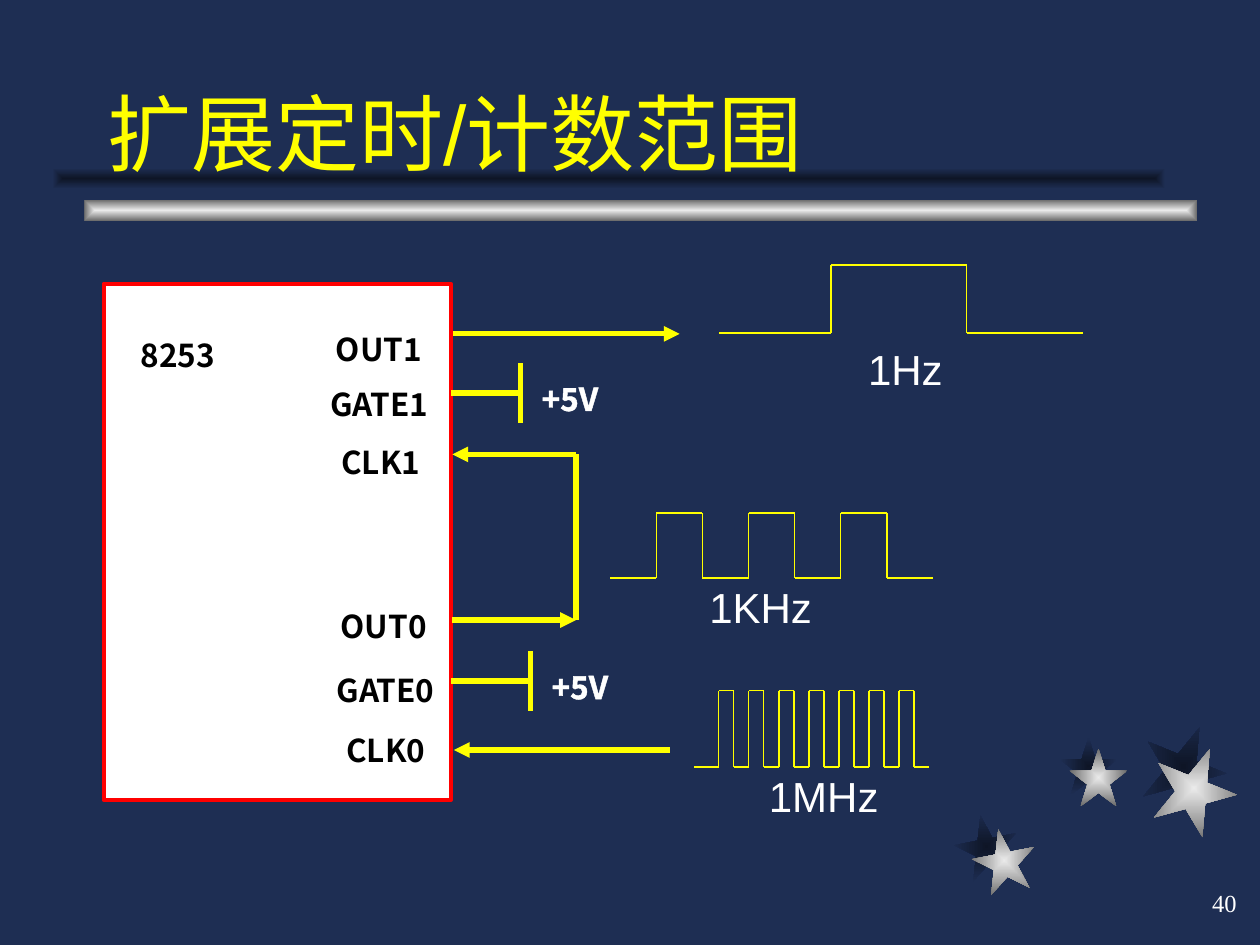
from lxml.etree import SubElement
from pptx import Presentation
from pptx.dml.color import RGBColor
from pptx.enum.shapes import MSO_CONNECTOR, MSO_SHAPE
from pptx.enum.text import MSO_ANCHOR, PP_ALIGN
from pptx.oxml.ns import qn
from pptx.util import Cm, Pt

COLOURS = {
    "background": "1E2E53",
    "shade": "0E1526",
    "silver": "EAEAEA",
    "grey": "6C6C6C",
    "yellow": "FFFF00",
    "red": "FF0000",
    "white": "FFFFFF",
    "black": "000000",
}
SHADOW = ("shade", "background")
METAL = ("silver", "grey")
CJK_FONT = "Noto Sans CJK SC"
CHIP_RIGHT = 9.09

# Star sets: size, rotation, shadow corner, front corner
STARS = [
    (1.27, 349, (19.25, 16.43), (19.61, 16.71)),
    (1.17, 0, (21.36, 14.86), (21.56, 15.09)),
    (1.70, 22, (23.01, 14.61), (23.22, 15.04)),
]
# Chip labels: text, left, top
CHIP_LABELS = [
    ("8253", 2.59, 6.64),
    ("OUT1", 6.52, 6.52),
    ("GATE1", 6.41, 7.63),
    ("CLK1", 6.63, 8.81),
    ("OUT0", 6.62, 12.10),
    ("GATE0", 6.54, 13.39),
    ("CLK0", 6.73, 14.61),
]
# Frequency labels: text, left, top, width
FREQUENCIES = [
    ("1MHz", 15.50, 15.53, 2.69),
    ("1KHz", 14.30, 11.73, 2.21),
    ("1Hz", 17.50, 6.93, 1.85),
]


def colour(name):
    return RGBColor.from_string(COLOURS[name])


def add_plain_shape(slide, kind, left, top, width, height):
    shape = slide.shapes.add_shape(kind, Cm(left), Cm(top), Cm(width), Cm(height))
    shape.shadow.inherit = False
    return shape


def add_gradient_shape(slide, kind, left, top, width, height, colours, rotation=0):
    """Shape whose colour runs from its centre to its edges."""
    shape = add_plain_shape(slide, kind, left, top, width, height)
    shape.rotation = rotation
    shape.line.fill.background()
    shape.fill.gradient()
    for stop, name in zip(shape.fill.gradient_stops, colours):
        stop.color.rgb = colour(name)
    gradient = shape._element.spPr.find(qn("a:gradFill"))
    gradient.remove(gradient.find(qn("a:lin")))
    centre = SubElement(gradient, qn("a:path"), {"path": "rect"})
    SubElement(centre, qn("a:fillToRect"), dict.fromkeys("ltrb", "50000"))


def add_text(slide, text, left, top, width, height, size, font, name,
             margins=(0.25, 0.13), anchor=MSO_ANCHOR.TOP,
             align=PP_ALIGN.LEFT, outlined=False):
    box = slide.shapes.add_textbox(Cm(left), Cm(top), Cm(width), Cm(height))
    frame = box.text_frame
    frame.word_wrap = True
    frame.vertical_anchor = anchor
    frame.margin_left = frame.margin_right = Cm(margins[0])
    frame.margin_top = frame.margin_bottom = Cm(margins[1])
    para = frame.paragraphs[0]
    para.alignment = align
    span = para.add_run()
    span.text = text
    span.font.size = Pt(size)
    span.font.name = font
    span.font.color.rgb = colour(name)
    properties = span.font._element
    latin = properties.find(qn("a:latin"))
    east_asian = SubElement(properties, qn("a:ea"), {"typeface": CJK_FONT})
    latin.addnext(east_asian)
    if outlined:
        span.font.bold = True
        outline = SubElement(properties, qn("a:ln"), {"w": str(Pt(0.75))})
        fill = SubElement(outline, qn("a:solidFill"))
        SubElement(fill, qn("a:srgbClr"), {"val": COLOURS[name]})
        properties.insert(0, outline)


def add_line(shapes, start, end, width=3, arrow=None):
    """Yellow line; arrow is headEnd (at start) or tailEnd (at end)."""
    line = shapes.add_connector(
        MSO_CONNECTOR.STRAIGHT, *(Cm(value) for value in (*start, *end)))
    line.line.color.rgb = colour("yellow")
    line.line.width = Pt(width)
    if arrow:
        SubElement(line.line._get_or_add_ln(), qn(f"a:{arrow}"), {"type": "triangle"})
    SubElement(line._element.spPr, qn("a:effectLst"))


def add_waveform(slide, edges, low, high):
    """Square wave that starts low and changes level at each inner edge."""
    shapes = slide.shapes.add_group_shape().shapes
    points = []
    for index, (left, right) in enumerate(zip(edges, edges[1:])):
        level = high if index % 2 else low
        points += [(left, level), (right, level)]
    for start, end in zip(points, points[1:]):
        add_line(shapes, start, end, 0.75)


def add_gate(slide, bar_x, y):
    """Gate pin tied to the supply."""
    add_line(slide.shapes, (CHIP_RIGHT, y), (bar_x, y))
    add_line(slide.shapes, (bar_x, y - 0.6), (bar_x, y + 0.6))
    add_text(slide, "+5V", bar_x + 0.17, y - 0.4, 2, 0.76, 18, CJK_FONT,
             "white", outlined=True)


def main():
    deck = Presentation()
    deck.slide_width, deck.slide_height = Cm(25.4), Cm(19.05)
    page = deck.slides.add_slide(deck.slide_layouts[6])
    page.background.fill.solid()
    page.background.fill.fore_color.rgb = colour("background")

    # Decorative stars and title bars
    for layer, colours in ((2, SHADOW), (3, METAL)):
        for star in STARS:
            size, rotation = star[:2]
            add_gradient_shape(page, MSO_SHAPE.STAR_5_POINT, *star[layer],
                               size, size, colours, rotation)
    for left, top, colours in ((1.70, 4.03, METAL), (1.06, 3.39, SHADOW)):
        add_gradient_shape(page, MSO_SHAPE.RECTANGLE, left, top, 22.43, 0.42, colours)

    # Page number and title
    add_text(page, "40", 19.90, 17.57, 5.28, 1.27, 14, "Times New Roman", "white",
             anchor=MSO_ANCHOR.MIDDLE, align=PP_ALIGN.RIGHT)
    add_text(page, "扩展定时/计数范围", 1.91, 0.64, 21.59, 3.17, 48, "Arial", "yellow",
             anchor=MSO_ANCHOR.BOTTOM)

    # Chip, with the OUT1 wire running out from behind it
    add_line(page.shapes, (8.89, 6.73), (13.7, 6.73), arrow="tailEnd")
    chip = add_plain_shape(page, MSO_SHAPE.RECTANGLE, 2.09, 5.72, 7, 10.41)
    chip.fill.solid()
    chip.fill.fore_color.rgb = colour("white")
    chip.line.color.rgb = colour("red")
    chip.line.width = Pt(2.25)
    for text, left, top in CHIP_LABELS:
        add_text(page, text, left, top, 2.7, 0.71, 18, CJK_FONT, "black",
                 outlined=True)

    # Wires
    add_gate(page, 10.5, 7.92)
    add_gate(page, 10.7, 13.73)
    add_line(page.shapes, (9.12, 9.16), (11.61, 9.16), arrow="headEnd")
    add_line(page.shapes, (9.12, 12.5), (11.61, 12.5), arrow="tailEnd")
    add_line(page.shapes, (11.61, 12.5), (11.61, 9.16))
    add_line(page.shapes, (9.15, 15.12), (13.5, 15.12), arrow="headEnd")

    # Frequencies and their waveforms
    for text, left, top, width in FREQUENCIES:
        add_text(page, text, left, top, width, 1.02, 24, "Arial", "white",
                 margins=(0, 0))
    add_waveform(page, [12.3 + 0.93 * step for step in range(8)], 11.65, 10.34)
    add_waveform(page, [14.5, 16.75, 19.49, 21.84], 6.71, 5.34)
    pulses = [14.49 + 4.24 / 14 * step for step in range(15)]
    add_waveform(page, [14.0, *pulses], 15.46, 13.92)

    deck.save("out.pptx")


if __name__ == "__main__":
    main()
